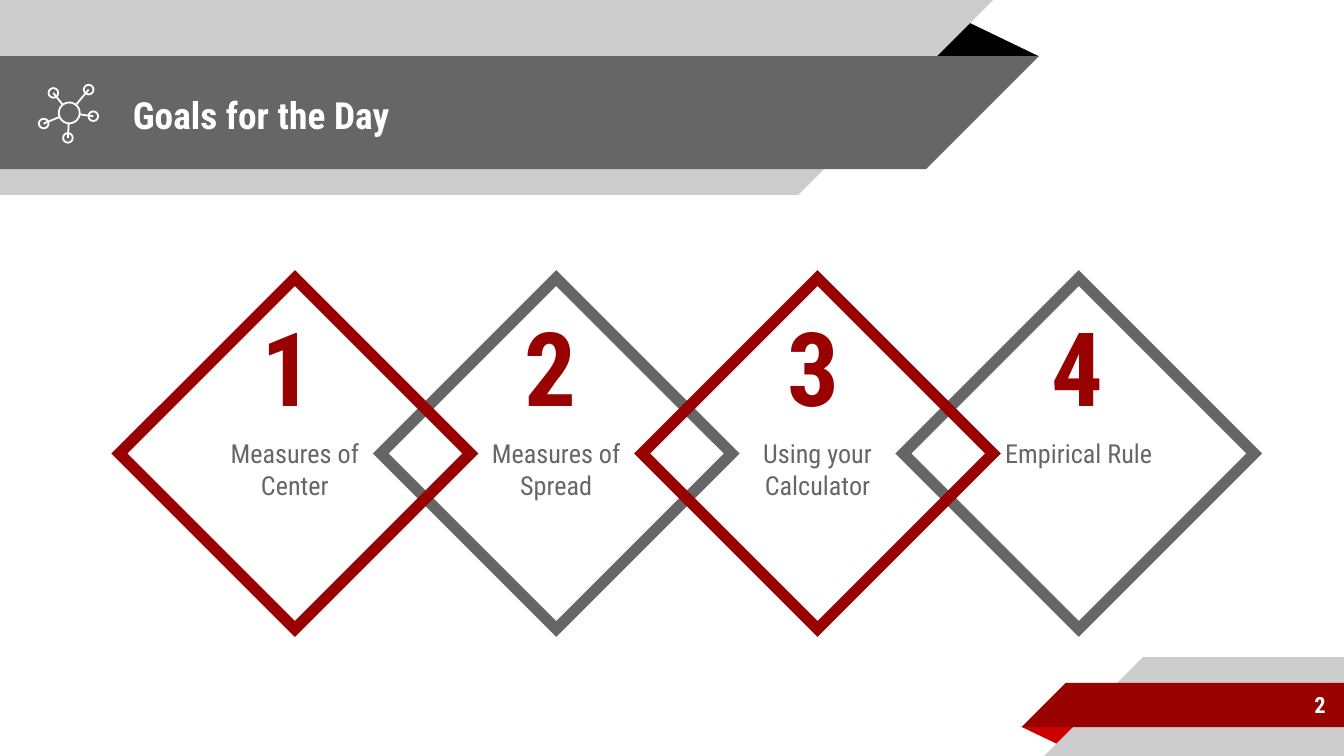
import math
import pptx
import pptx.util
import pptx.dml.color
import pptx.enum.shapes
import pptx.enum.text
from lxml import etree

Pt = pptx.util.Pt
Kind = pptx.enum.shapes.MSO_SHAPE
Align = pptx.enum.text.PP_ALIGN
Anchor = pptx.enum.text.MSO_ANCHOR
NS = "http://schemas.openxmlformats.org/drawingml/2006/main"

FONT = "Roboto Condensed"
WHITE, BLACK, LIGHT, GRAY = "FFFFFF", "000000", "CCCCCC", "666666"
RED, BRIGHT = "990000", "CC0000"


def tint(fmt, code):
    """Set a fill or a font to a solid hex colour."""
    fill = fmt.fill
    fill.solid()
    fill.fore_color.rgb = pptx.dml.color.RGBColor.from_string(code)


def shape(slide, kind, x, y, w, h, fill=None, line=None, width=1):
    """Add a preset shape with an optional fill and outline."""
    item = slide.shapes.add_shape(kind, Pt(x), Pt(y), Pt(w), Pt(h))
    item.shadow.inherit = False
    if fill:
        tint(item, fill)
    else:
        item.fill.background()
    if line:
        tint(item.line, line)
        item.line.width = Pt(width)
        edge = item.line._get_or_add_ln()
        etree.SubElement(edge, f"{{{NS}}}miter", lim="800000")
    else:
        item.line.fill.background()
    return item


def write(item, text, size, color, bold=False, align=Align.LEFT,
          anchor=Anchor.MIDDLE, top=7.2):
    """Put one styled run into a shape or text box."""
    frame = item.text_frame
    frame.word_wrap = True
    frame.vertical_anchor = anchor
    frame.margin_left = frame.margin_right = frame.margin_bottom = Pt(7.2)
    frame.margin_top = Pt(top)
    para = frame.paragraphs[0]
    para.alignment = align
    run = para.add_run()
    run.text = text
    run.font.name = FONT
    run.font.size = Pt(size)
    run.font.bold = bold
    tint(run.font, color)


def label(slide, x, y, w, h, text, size, color, **style):
    """Add a text box holding bold text."""
    box = slide.shapes.add_textbox(Pt(x), Pt(y), Pt(w), Pt(h))
    write(box, text, size, color, bold=True, **style)


def fold(slide, x, y, w, h, color, turn=0):
    """Add the small triangle that looks like a folded ribbon."""
    item = shape(slide, Kind.ISOSCELES_TRIANGLE, x, y, w, h, color)
    item.adjustments[0] = 0.32
    item.rotation = turn


def ribbon(slide, x, y, w, h, color, right=True):
    """Add a bar with a slanted end on its right or left side."""
    bar, tip = (x, x + w - h) if right else (x + h, x)
    shape(slide, Kind.RECTANGLE, bar, y, w - h, h, color)
    end = shape(slide, Kind.RIGHT_TRIANGLE, tip, y, h, h, color)
    end.rotation = 90 if right else 270


def icon(slide, x, y):
    """Draw a hub joined to five nodes."""
    hub, core, dot = (16.4, 15.3), 5.6, 2.6
    nodes = [(26.8, 2.8), (7.9, 4.6), (2.7, 21), (15.7, 28.7), (29.3, 17.1)]
    for (cx, cy), r in [(hub, core)] + [(node, dot) for node in nodes]:
        shape(slide, Kind.OVAL, x + cx - r, y + cy - r, 2 * r, 2 * r,
              line=WHITE, width=0.96)
    for cx, cy in nodes:
        part = core / math.dist(hub, (cx, cy))
        ex = hub[0] + (cx - hub[0]) * part
        ey = hub[1] + (cy - hub[1]) * part
        spoke = slide.shapes.add_connector(
            pptx.enum.shapes.MSO_CONNECTOR.STRAIGHT,
            Pt(x + cx), Pt(y + cy), Pt(x + ex), Pt(y + ey))
        tint(spoke.line, WHITE)
        spoke.line.width = Pt(0.96)
        etree.SubElement(spoke._element.spPr, f"{{{NS}}}effectLst")


def header(slide, x, y, title):
    """Draw the title ribbon with its icon."""
    fold(slide, x + 495.4, y + 10.1, 61.2, 20.1, BLACK)
    ribbon(slide, x, y, 532, 104.4, LIGHT)
    ribbon(slide, x, y + 30.1, 556.6, 60.5, GRAY)
    label(slide, x + 64.1, y + 31, 414, 60.5, title, 20, WHITE)
    icon(slide, x + 20.7, y + 45.2)


def footer(slide, x, y, number):
    """Draw the corner ribbon with the page number."""
    fold(slide, x, y + 37.3, 31, 10.1, BRIGHT, 180)
    ribbon(slide, x + 12.2, y, 160.6, 52.9, LIGHT, right=False)
    ribbon(slide, x, y + 13.7, 172.8, 23.8, RED, right=False)
    label(slide, x + 52.6, y + 13, 117.4, 25.2, number, 12, WHITE,
          align=Align.RIGHT)


def goals(slide, x, y, names):
    """Draw the chain of numbered diamonds, red ones in front."""
    side, step = 188, 140
    order = sorted(range(len(names)), key=lambda i: i % 2 == 0)
    for i in order:
        name, lower = names[i]
        fill, line = (WHITE, GRAY) if i % 2 else (None, RED)
        item = shape(slide, Kind.DIAMOND, x + i * step, y, side, side,
                     fill, line, 6)
        write(item, name, 14, GRAY, align=Align.CENTER,
              top=7.2 + 16.6 * lower)
    for i in range(len(names)):
        label(slide, x + 69 + i * 141, y + 8, 39, 79.2, str(i + 1), 55,
              RED, anchor=Anchor.BOTTOM)


def main():
    """Build and save the slide."""
    deck = pptx.Presentation()
    deck.slide_width, deck.slide_height = Pt(720), Pt(405)
    slide = deck.slides.add_slide(deck.slide_layouts[6])
    header(slide, 0, 0, "Goals for the Day")
    footer(slide, 547.2, 352.1, "2")
    goals(slide, 64, 149, [
        ("Measures of Center", True),
        ("Measures of Spread", True),
        ("Using your Calculator", True),
        ("Empirical Rule", False),
    ])
    deck.save("out.pptx")


if __name__ == "__main__":
    main()
